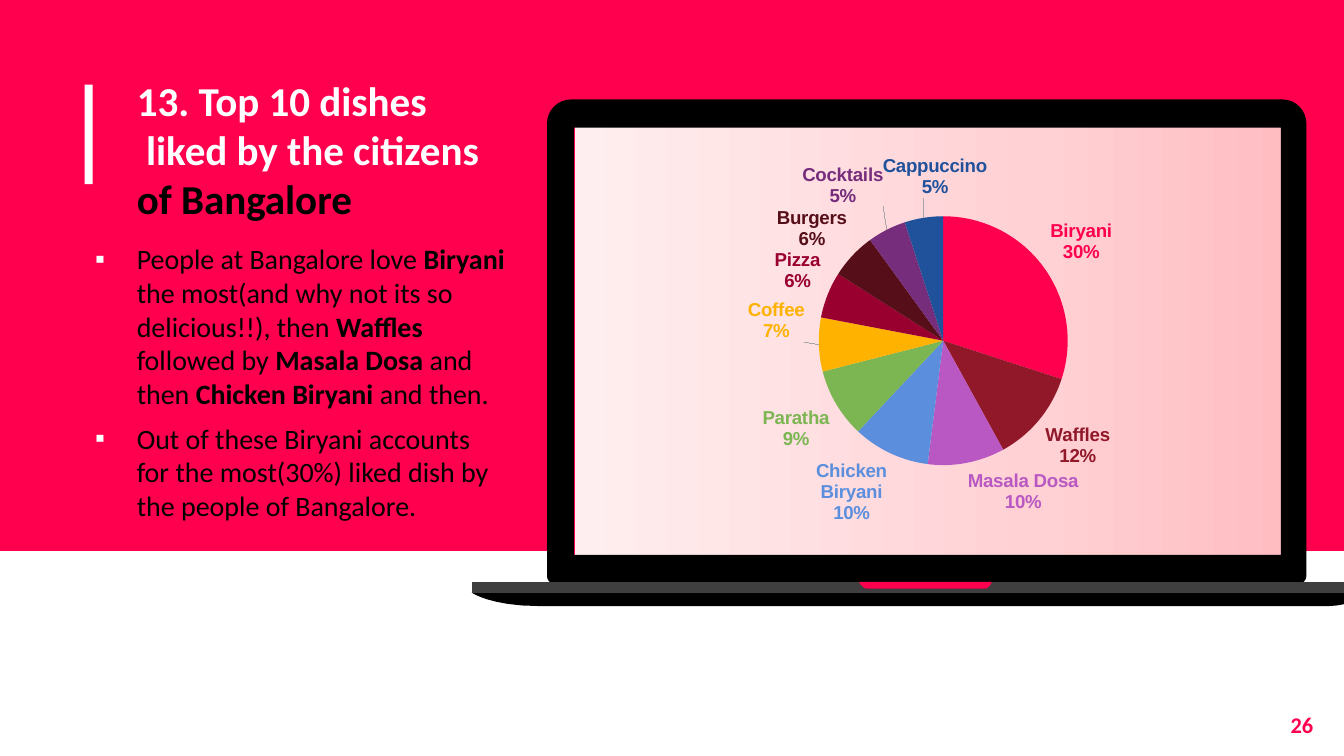
"""Build the slide on Bangalore's ten favourite dishes, charted on a laptop screen."""
from copy import deepcopy
from dataclasses import dataclass

from lxml import etree
from pptx import Presentation
from pptx.chart.data import CategoryChartData
from pptx.dml.color import RGBColor
from pptx.enum.chart import XL_CHART_TYPE, XL_LABEL_POSITION
from pptx.enum.shapes import MSO_SHAPE
from pptx.enum.text import PP_ALIGN
from pptx.oxml.ns import qn
from pptx.util import Inches, Pt

PIE = XL_CHART_TYPE.PIE
OUTSIDE_END = XL_LABEL_POSITION.OUTSIDE_END
RECTANGLE = MSO_SHAPE.RECTANGLE
RIGHT = PP_ALIGN.RIGHT


@dataclass(frozen=True)
class Theme:
    accent: str = "FF004E"
    white: str = "FFFFFF"
    black: str = "000000"
    base: str = "3F3F3F"
    leader: str = "A6A6A6"
    screen_edge: str = "F9004C"
    screen: tuple = ((0, "FFEEEF"), (0.65, "FFD1D4"), (1, "FFBDC2"))
    text_font: str = "Calibri"
    chart_font: str = "Arial"
    title_size: int = 22
    body_size: int = 15
    number_size: int = 12
    label_size: int = 10


@dataclass(frozen=True)
class Box:
    left: float
    top: float
    width: float
    height: float

    def lengths(self) -> tuple:
        return tuple(Inches(v) for v in (self.left, self.top, self.width, self.height))


@dataclass(frozen=True)
class Dish:
    name: str
    share: int
    color: str
    label_shift: tuple = ()


@dataclass(frozen=True)
class Part:
    color: str
    contours: tuple


THEME = Theme()

DISHES = (
    Dish("Biryani", 30, THEME.accent),
    Dish("Waffles", 12, "901829"),
    Dish("Masala Dosa", 10, "B958C2"),
    Dish("Chicken Biryani", 10, "5B8FDD"),
    Dish("Paratha", 9, "7CB652"),
    Dish("Coffee", 7, "FFB200", (-0.01, -0.06)),
    Dish("Pizza", 6, "99002F"),
    Dish("Burgers", 6, "560E19"),
    Dish("Cocktails", 5, "752D7C", (0, -0.04)),
    Dish("Cappuccino", 5, "20519B", (0.1, -0.03)),
)

FINDINGS = (
    (("People at Bangalore love ", False), ("Biryani", True),
     (" the most(and why not its so delicious!!), then ", False), ("Waffles", True),
     (" followed by ", False), ("Masala Dosa ", True), ("and then ", False),
     ("Chicken Biryani ", True), ("and then.", False)),
    (("Out of these Biryani accounts for the most(30%) liked dish "
      "by the people of Bangalore.", False),),
)

LAPTOP = (
    Part(THEME.black, (
        ((9.54, 0.74), (4.25, 0.74), (4.15, 0.74, 4.07, 0.82, 4.07, 0.92), (4.07, 4.28),
         (4.07, 4.32, 4.09, 4.34, 4.13, 4.34), (9.66, 4.34),
         (9.7, 4.34, 9.72, 4.32, 9.72, 4.28), (9.72, 0.92),
         (9.72, 0.82, 9.64, 0.74, 9.54, 0.74)),
        ((9.53, 4.13), (4.27, 4.13), (4.27, 0.95), (9.53, 0.95)))),
    Part(THEME.black, (
        ((3.51, 4.41), (3.51, 4.41, 3.65, 4.51, 4.01, 4.51), (9.89, 4.51),
         (10.03, 4.51, 10.28, 4.41, 10.28, 4.41)),)),
    Part(THEME.base, (((3.51, 4.41), (10.28, 4.41), (10.28, 4.33), (3.51, 4.33)),)),
    Part(THEME.accent, (
        ((6.39, 4.33), (6.39, 4.33, 6.42, 4.38, 6.45, 4.38), (7.33, 4.38),
         (7.36, 4.38, 7.38, 4.33, 7.38, 4.33)),)),
)


def rgb(color: str) -> RGBColor:
    return RGBColor.from_string(color)


def style(font, name: str, size: int, color: str, bold: bool) -> None:
    font.name, font.size, font.bold = name, Pt(size), bold
    font.color.rgb = rgb(color)


def paint(shape, color: str) -> None:
    shape.shadow.inherit = False
    shape.fill.solid()
    shape.fill.fore_color.rgb = rgb(color)
    shape.line.fill.background()


def add_block(page, box: Box, color: str) -> None:
    paint(page.shapes.add_shape(RECTANGLE, *box.lengths()), color)


def add_screen(page, box: Box) -> None:
    screen = page.shapes.add_shape(RECTANGLE, *box.lengths())
    screen.shadow.inherit = False
    screen.line.color.rgb = rgb(THEME.screen_edge)
    screen.line.width = Pt(0.75)
    screen.fill.gradient()
    screen.fill.gradient_angle = 0
    stops = screen._element.spPr.find(qn("a:gradFill")).find(qn("a:gsLst"))
    stops.append(deepcopy(stops[0]))
    for stop, (position, color) in zip(screen.fill.gradient_stops, THEME.screen):
        stop.position = position
        stop.color.rgb = rgb(color)


def flatten(contour: tuple, steps: int = 8) -> list:
    points = [contour[0]]
    for segment in contour[1:]:
        if len(segment) == 2:
            points.append(segment)
            continue
        corners = (points[-1], segment[:2], segment[2:4], segment[4:])
        for step in range(1, steps + 1):
            t = step / steps
            weights = ((1 - t) ** 3, 3 * t * (1 - t) ** 2, 3 * t * t * (1 - t), t ** 3)
            points.append(tuple(sum(w * corner[axis] for w, corner in zip(weights, corners))
                                for axis in (0, 1)))
    return points


def add_part(page, part: Part) -> None:
    contours = [[(Inches(x), Inches(y)) for x, y in flatten(c)] for c in part.contours]
    builder = page.shapes.build_freeform(*contours[0][0])
    for index, points in enumerate(contours):
        if index:
            builder.move_to(*points[0])
        builder.add_line_segments(points[1:], close=True)
    paint(builder.convert_to_shape(), part.color)


def add_text_frame(page, box: Box):
    frame = page.shapes.add_textbox(*box.lengths()).text_frame
    frame.word_wrap = True
    frame.margin_left = frame.margin_right = Inches(0.1)
    frame.margin_top = frame.margin_bottom = Inches(0.1)
    return frame


def add_title(page, box: Box) -> None:
    para = add_text_frame(page, box).paragraphs[0]
    para.text = "13. Top 10 dishes\v liked by the citizens \vof Bangalore"
    for span, color in zip(para.runs, (THEME.white, THEME.white, THEME.black)):
        style(span.font, THEME.text_font, THEME.title_size, color, True)


def add_bullet(para) -> None:
    properties = para._p.get_or_add_pPr()
    properties.set("marL", str(Inches(0.31)))
    properties.set("indent", str(-Inches(0.31)))
    color = etree.SubElement(properties, qn("a:buClr"))
    etree.SubElement(color, qn("a:srgbClr"), val=THEME.white)
    etree.SubElement(properties, qn("a:buFont"), typeface=THEME.chart_font)
    etree.SubElement(properties, qn("a:buChar"), char="▪")


def add_findings(page, box: Box) -> None:
    frame = add_text_frame(page, box)
    for index, finding in enumerate(FINDINGS):
        para = frame.add_paragraph() if index else frame.paragraphs[0]
        add_bullet(para)
        para.space_before = Pt(6 if index else 0)
        for words, bold in finding:
            span = para.add_run()
            span.text = words
            style(span.font, THEME.text_font, THEME.body_size, THEME.black, bold)


def add_page_number(page, box: Box) -> None:
    para = add_text_frame(page, box).paragraphs[0]
    para.text = "26"
    para.alignment = RIGHT
    style(para.runs[0].font, THEME.text_font, THEME.number_size, THEME.accent, True)


def make_layout(**values: float):
    layout = etree.Element(qn("c:layout"))
    manual = etree.SubElement(layout, qn("c:manualLayout"))
    for tag, value in values.items():
        etree.SubElement(manual, qn(f"c:{tag}"), val=str(value))
    return layout


def color_leaders(labels) -> None:
    element = etree.SubElement(labels, qn("c:leaderLines"))
    for tag in ("c:spPr", "a:ln", "a:solidFill"):
        element = etree.SubElement(element, qn(tag))
    etree.SubElement(element, qn("a:srgbClr"), val=THEME.leader)


def add_pie(page, box: Box) -> None:
    data = CategoryChartData()
    data.categories = [dish.name for dish in DISHES]
    data.add_series("Series 1", [dish.share for dish in DISHES])
    chart = page.shapes.add_chart(PIE, *box.lengths(), data).chart
    chart.has_legend = chart.has_title = False
    style(chart.font, THEME.chart_font, THEME.label_size, THEME.black, False)
    chart.plots[0].vary_by_categories = True
    series = chart.plots[0].series[0]
    for index, dish in enumerate(DISHES):
        point = series.points[index]
        paint_format = point.format
        paint_format.fill.solid()
        paint_format.fill.fore_color.rgb = rgb(dish.color)
        paint_format.line.fill.background()
        style(point.data_label.font, THEME.chart_font, THEME.label_size, dish.color, True)
        point.data_label.position = OUTSIDE_END
    for label, dish in zip(series._element.iter(qn("c:dLbl")), DISHES):
        for tag, shown in (("showVal", "0"), ("showCatName", "1"), ("showPercent", "1")):
            label.find(qn(f"c:{tag}")).set("val", shown)
        etree.SubElement(label, qn("c:separator")).text = "\n"
        if dish.label_shift:
            label.insert(1, make_layout(**dict(zip("xy", dish.label_shift))))
    color_leaders(series._element.find(qn("c:dLbls")))
    plot_area = chart._chartSpace.chart.plotArea
    for old in plot_area.findall(qn("c:layout")):
        plot_area.remove(old)
    plot_area.insert(0, make_layout(layoutTarget="inner", xMode="edge", yMode="edge",
                                    x=0.31, y=0.17, w=0.39, h=0.63))


def main() -> None:
    deck = Presentation()
    deck.slide_width = Inches(10)
    deck.slide_height = deck.slide_width * 9 // 16
    page = deck.slides.add_slide(deck.slide_layouts[6])
    add_block(page, Box(0, 0, 10, 4.1), THEME.accent)
    add_block(page, Box(0.63, 0.63, 0.06, 0.74), THEME.white)
    add_title(page, Box(0.92, 0.46, 3.53, 0.94))
    add_findings(page, Box(0.61, 1.7, 3.26, 2.34))
    add_page_number(page, Box(9.27, 5.19, 0.6, 0.43))
    add_screen(page, Box(4.27, 0.94, 5.31, 3.21))
    for part in LAPTOP:
        add_part(page, part)
    add_pie(page, Box(4.6, 1.11, 4.79, 2.94))
    deck.save("out.pptx")


if __name__ == "__main__":
    main()
